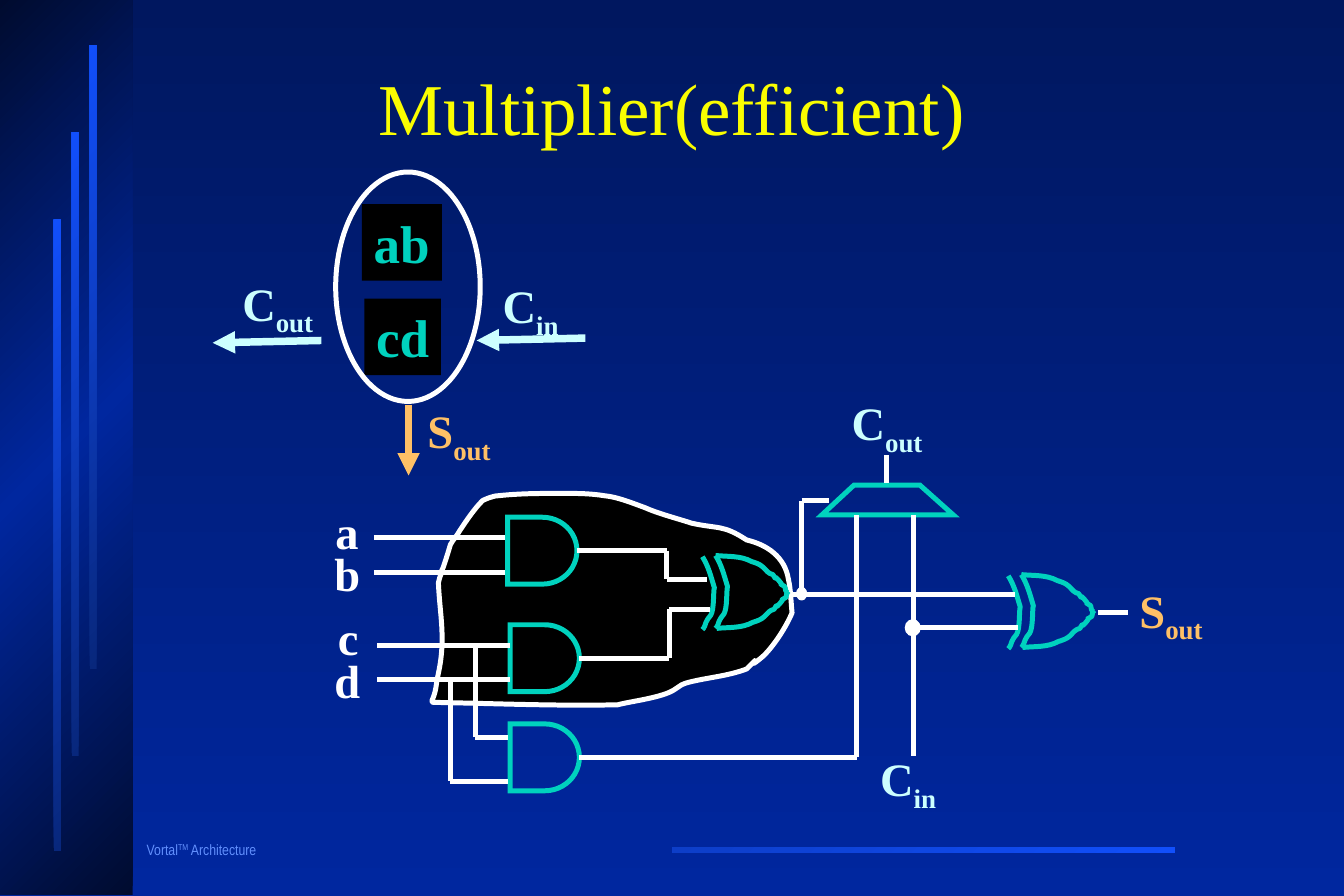
from copy import deepcopy
from itertools import pairwise
from pptx import Presentation
from pptx.dml.color import RGBColor
from pptx.enum.shapes import MSO_CONNECTOR, MSO_SHAPE
from pptx.enum.text import MSO_ANCHOR, PP_ALIGN
from pptx.oxml.ns import qn
from pptx.util import Inches, Pt

RECT, OVAL, DELAY = MSO_SHAPE.RECTANGLE, MSO_SHAPE.OVAL, MSO_SHAPE.FLOWCHART_DELAY
STRAIGHT = MSO_CONNECTOR.STRAIGHT
LEFT, CENTER, MIDDLE, TOP = PP_ALIGN.LEFT, PP_ALIGN.CENTER, MSO_ANCHOR.MIDDLE, MSO_ANCHOR.TOP
SERIF, NARROW = "Times New Roman", "Arial Narrow"
RIGHT_SITE = 3

COLORS = {
    "bg_top": "00175F", "navy": "00279F", "panel": "000B2F", "bar_dark": "08277C",
    "bar": "114FFB", "rule": "0D3EC8", "footer": "618FFD", "title": "FAFD00",
    "white": "FFFFFF", "black": "000000", "gate": "00D2BE", "carry": "CCFFFF", "sum": "FEC066",
}

# Content: (text, subscript, colour, left, top, width, height)
LABELS = [
    ("C", "out", "carry", 1.93, 2.25, 0.79, 0.63),
    ("C", "in", "carry", 4.11, 2.27, 0.67, 0.63),
    ("S", "out", "sum", 3.48, 3.32, 0.73, 0.63),
    ("C", "out", "carry", 7.03, 3.25, 0.79, 0.63),
    ("C", "in", "carry", 7.27, 6.23, 0.67, 0.63),
    ("S", "out", "sum", 9.44, 4.82, 0.73, 0.63),
    ("a", "", "white", 2.71, 4.16, 0.39, 0.57),
    ("b", "", "white", 2.7, 4.51, 0.41, 0.57),
    ("c", "", "white", 2.73, 5.05, 0.37, 0.57),
    ("d", "", "white", 2.7, 5.41, 0.41, 0.57),
]
PRODUCTS = [("ab", 3.03, 1.71, 0.67), ("cd", 3.05, 2.5, 0.64)]
ARROWS = [
    ("sum", (3.42, 3.39), (3.42, 3.98)),
    ("carry", (2.69, 2.85), (1.78, 2.87)),
    ("carry", (4.9, 2.83), (3.99, 2.85)),
]
# AND gates: left, top, then the corners of the output wire
AND_W, AND_H = 0.58, 0.56
AND_GATES = [
    (4.25, 4.33, [(5.58, 4.61), (5.58, 4.85), (5.92, 4.85)]),
    (4.27, 5.23, [(5.6, 5.51), (5.6, 5.1), (5.94, 5.1)]),
    (4.27, 6.06, [(7.17, 6.34), (7.17, 5.48)]),
]
WIRES = [
    [(3.13, 4.5), (4.23, 4.5)], [(3.13, 4.79), (4.23, 4.79)],
    [(3.16, 5.4), (4.27, 5.4)], [(3.16, 5.69), (4.27, 5.69)],
    [(3.77, 5.69), (3.77, 6.54), (4.25, 6.54)],
    [(3.98, 5.4), (3.98, 6.17), (4.25, 6.17)],
    [(6.63, 4.98), (8.5, 4.98)],
    [(6.71, 4.98), (6.71, 4.19), (6.94, 4.19)],
    [(7.65, 4.31), (7.65, 6.33)], [(7.65, 5.25), (8.52, 5.25)],
    [(7.17, 4.31), (7.17, 4.98)], [(7.17, 4.96), (7.17, 5.52)],
    [(7.42, 4.04), (7.42, 3.81)], [(9.19, 5.13), (9.44, 5.13)],
]
JUNCTIONS = [(7.58, 5.19, 0.12, 0.13), (6.67, 4.92, 0.08, 0.1)]
MUX = [(6.88, 4.31), (7.98, 4.31), (7.7, 4.06), (7.15, 4.06)]

# Curves: a start point, then three points for each cubic piece
CLOUD = [
    (3.65, 5.88), (4.18, 5.89), (4.64, 5.91), (5.17, 5.9), (5.28, 5.87), (5.55, 5.84), (5.65, 5.77),
    (5.71, 5.73), (5.7, 5.73), (5.77, 5.71), (5.93, 5.67), (6.09, 5.66), (6.25, 5.6),
    (6.43, 5.42), (6.2, 5.65), (6.38, 5.5), (6.47, 5.42), (6.58, 5.25), (6.63, 5.13),
    (6.62, 5.03), (6.62, 4.94), (6.6, 4.85), (6.57, 4.66), (6.42, 4.56), (6.25, 4.52),
    (6.05, 4.39), (6.02, 4.43), (5.79, 4.38), (5.67, 4.34), (5.51, 4.3), (5.4, 4.25),
    (5.29, 4.21), (5.17, 4.16), (5.06, 4.15), (4.94, 4.13), (4.83, 4.13), (4.71, 4.13),
    (4.53, 4.13), (4.35, 4.13), (4.17, 4.15), (4.12, 4.15), (4.04, 4.19), (4.04, 4.19),
    (3.97, 4.26), (3.91, 4.35), (3.85, 4.44), (3.83, 4.48), (3.79, 4.52), (3.77, 4.56),
    (3.75, 4.63), (3.73, 4.69), (3.71, 4.75), (3.7, 4.77), (3.69, 4.79), (3.69, 4.81),
    (3.68, 4.83), (3.67, 4.88), (3.67, 4.88), (3.68, 5.12), (3.72, 5.28), (3.69, 5.52),
    (3.68, 5.6), (3.66, 5.67), (3.65, 5.75), (3.63, 5.88), (3.58, 5.88), (3.65, 5.88),
]
XOR_TOP = [
    (0.11, 0), (0.21, 0.01), (0.32, 0), (0.41, 0.05), (0.44, 0.06), (0.48, 0.07), (0.51, 0.1),
    (0.54, 0.13), (0.55, 0.15), (0.59, 0.16), (0.64, 0.24), (0.58, 0.14), (0.64, 0.21),
    (0.7, 0.28), (0.61, 0.21), (0.69, 0.26), (0.7, 0.3), (0.69, 0.29), (0.71, 0.31),
]
XOR_BACK = [
    (0.11, 0), (0.16, 0.08), (0.18, 0.16), (0.21, 0.26), (0.2, 0.29), (0.21, 0.44), (0.18, 0.49),
    (0.16, 0.51), (0.15, 0.53), (0.14, 0.55), (0.14, 0.56), (0.13, 0.57), (0.13, 0.58),
    (0.13, 0.59), (0.11, 0.61), (0.11, 0.61),
]
XOR_BOTTOM = [(x + 0.01, 0.61 - y) for x, y in XOR_TOP]
XOR_EXTRA = [(x - 0.11, y + 0.01) for x, y in XOR_BACK]
XOR_GATES = [(5.88, 4.65), (8.44, 4.81)]

prs = Presentation()
prs.slide_width, prs.slide_height = Inches(11.25), Inches(7.5)
s = prs.slides.add_slide(prs.slide_layouts[6])


def rgb(name):
    return RGBColor.from_string(COLORS[name])


def set_gradient(fill, names, angle):
    fill.gradient()
    fill.gradient_angle = 360 - angle
    for stop, name in zip(fill.gradient_stops, names):
        stop.color.rgb = rgb(name)


def add_line_part(sp, tag, **attrs):
    ln = sp.line._get_or_add_ln()
    ln.append(ln.makeelement(qn(tag), attrs))


def paint(sp, fill=None, line=None, width=3):
    sp.shadow.inherit = False
    if fill:
        sp.fill.solid()
        sp.fill.fore_color.rgb = rgb(fill)
    else:
        sp.fill.background()
    if line:
        sp.line.color.rgb = rgb(line)
        sp.line.width = Pt(width)
    else:
        sp.line.fill.background()


def add_shape(kind, box, **style):
    sp = s.shapes.add_shape(kind, *map(Inches, box))
    paint(sp, **style)
    return sp


def add_outline(points, closed=False, curved=False, **style):
    pts = [(Inches(x), Inches(y)) for x, y in points]
    builder = s.shapes.build_freeform(*pts[0], scale=1.0)
    builder.add_line_segments(pts[1:], close=closed)
    sp = builder.convert_to_shape()
    paint(sp, **style)
    if curved:  # each three segments become one cubic piece
        segments = list(sp._element.iter(qn("a:lnTo")))
        for first, second, third in zip(*[iter(segments)] * 3):
            first.tag = qn("a:cubicBezTo")
            for segment in (second, third):
                first.append(segment[0])
                segment.getparent().remove(segment)
    return sp


def add_line(start, end, color="white", width=3):
    c = s.shapes.add_connector(STRAIGHT, *map(Inches, start + end))
    c.line.color.rgb = rgb(color)
    c.line.width = Pt(width)
    c._element.spPr.append(c._element.makeelement(qn("a:effectLst"), {}))
    return c


def add_wire(points):
    return [add_line(a, b) for a, b in pairwise(points)]


def write(sp, runs, size, color, font=SERIF, bold=False, wrap=False, anchor=TOP):
    """Runs are (text, baseline shift in percent)."""
    tf = sp.text_frame
    tf.word_wrap, tf.vertical_anchor = wrap, anchor
    p = tf.paragraphs[0]
    p.alignment = LEFT
    p.font.name, p.font.size, p.font.bold = font, Pt(size), bold
    p.font.color.rgb = rgb(color)
    for text, shift in runs:
        r = p.add_run()
        r.text = text
        if shift:
            r.font._element.set("baseline", str(shift * 1000))
    return p


def add_text(box, *args, **style):
    return write(s.shapes.add_textbox(*map(Inches, box)), *args, **style)


# Background, side panel and bars
set_gradient(s.background.fill, ["bg_top", "navy"], 90)
p = add_text((1.13, 7, 1.5, 0.23), [("Vortal", 0), ("TM", 30), (" Architecture", 0)], 9, "footer",
             font=NARROW, wrap=True)
p.line_spacing = 0.9
set_gradient(add_shape(RECT, (5.63, 7.09, 4.21, 0.05)).fill, ["bar", "rule"], 225)
panel = add_shape(RECT, (0, 0, 1.11, 7.49))
set_gradient(panel.fill, ["panel", "panel"], 225)
stops = panel._element.spPr.find(".//" + qn("a:gsLst"))
stops.insert(1, deepcopy(stops[0]))
panel.fill.gradient_stops[1].position = 0.5
panel.fill.gradient_stops[1].color.rgb = rgb("navy")
for i, height in enumerate([5.28, 5.22, 5.22]):
    bar = add_shape(RECT, (0.45 + 0.15 * i, 1.84 - 0.73 * i, 0.06, height))
    set_gradient(bar.fill, ["bar_dark", "bar"], 225)

# Logic cloud, then the title
add_outline(CLOUD, closed=True, curved=True, fill="black", line="white")
p = add_text((1.16, 0.32, 8.93, 1.25), [("Multiplier(efficient)", 0)], 44, "title", wrap=True, anchor=MIDDLE)
p.alignment, p.line_spacing = CENTER, 0.85

# Cell symbol with its arrows
for text, left, top, width in PRODUCTS:
    write(add_shape(RECT, (left, top, width, 0.64), fill="black"), [(text, 0)], 32, "gate", bold=True)
add_shape(OVAL, (2.81, 1.44, 1.21, 1.92), line="white")
for color, start, end in ARROWS:
    add_line_part(add_line(start, end, color, 4.5), "a:tailEnd", type="triangle")

# Gates and multiplexer
for left, top in XOR_GATES:
    for part in (XOR_TOP, XOR_BOTTOM, XOR_BACK, XOR_EXTRA):
        add_outline([(left + x, top + y) for x, y in part], curved=True, line="gate")
add_line_part(add_outline(MUX, closed=True, line="gate"), "a:miter", lim="800000")
for left, top, corners in AND_GATES:
    gate = add_shape(DELAY, (left, top, AND_W, AND_H), line="gate")
    add_line_part(gate, "a:miter", lim="800000")
    wire = add_wire([(left + AND_W, top + AND_H / 2)] + corners)
    wire[0].begin_connect(gate, RIGHT_SITE)

# Wires, junctions and labels
for points in WIRES:
    add_wire(points)
for box in JUNCTIONS:
    add_shape(OVAL, box, fill="white", line="white", width=1)
for text, sub, color, *box in LABELS:
    add_text(box, [(text, 0)] + ([(sub, -25)] if sub else []), 28, color, bold=True)

prs.save("out.pptx")
